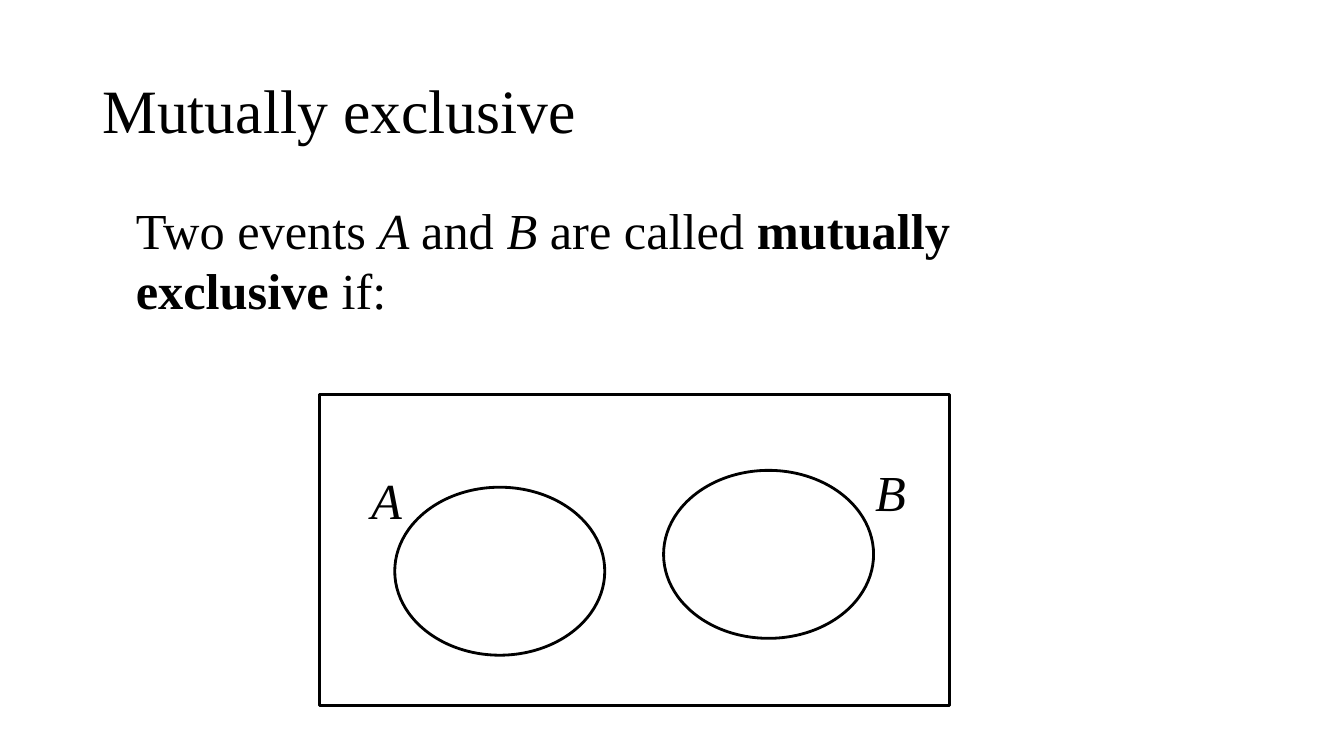
from pptx import Presentation
from pptx.dml.color import RGBColor
from pptx.enum.shapes import MSO_SHAPE
from pptx.enum.text import MSO_ANCHOR
from pptx.util import Inches, Pt

UNIT = 1 / 12  # grid of 160 columns by 90 rows
FONT = "Times New Roman"
BLACK = "000000"


def grid(*cells):
    return [Inches(c * UNIT) for c in cells]


def color(hex_code):
    return RGBColor.from_string(hex_code)


def add_text(s, box, runs, size=36, spacing=None):
    """Add a text box; each run is (text, style), style being "", "b" or "i"."""
    tf = s.shapes.add_textbox(*grid(*box)).text_frame
    tf.word_wrap = True
    tf.vertical_anchor = MSO_ANCHOR.MIDDLE
    p = tf.paragraphs[0]
    p.line_spacing = spacing
    for text, style in runs:
        r = p.add_run()
        r.text = text
        r.font.name = FONT
        r.font.size = Pt(size)
        r.font.bold = style == "b"
        r.font.italic = style == "i"
        r.font.color.rgb = color(BLACK)


def add_outline(s, kind, box):
    sp = s.shapes.add_shape(kind, *grid(*box))
    sp.shadow.inherit = False
    sp.fill.background()
    sp.line.color.rgb = color(BLACK)
    sp.line.width = Pt(2)


def add_event(s, name, oval_at, label_at):
    add_outline(s, MSO_SHAPE.OVAL, (*oval_at, 25, 20))
    add_text(s, (*label_at, 13, 11), [(name, "i")])


def main():
    prs = Presentation()
    prs.slide_width, prs.slide_height = grid(160, 90)
    s = prs.slides.add_slide(prs.slide_layouts[6])

    # Title and definition
    add_text(s, (11, 4.8, 138, 17.4), [("Mutually exclusive", "")],
             size=44, spacing=0.9)
    add_text(s, (15, 23.4, 109, 15), [
        ("Two events ", ""), ("A ", "i"), ("and ", ""), ("B ", "i"),
        ("are called ", ""), ("mutually exclusive", "b"), (" if:", ""),
    ])

    # Venn diagram: sample space and two disjoint events
    add_outline(s, MSO_SHAPE.RECTANGLE, (38, 47, 75, 37))
    add_event(s, "B", oval_at=(79, 56), label_at=(103, 53))
    add_event(s, "A", oval_at=(47, 58), label_at=(43, 54))

    prs.save("out.pptx")


if __name__ == "__main__":
    main()
